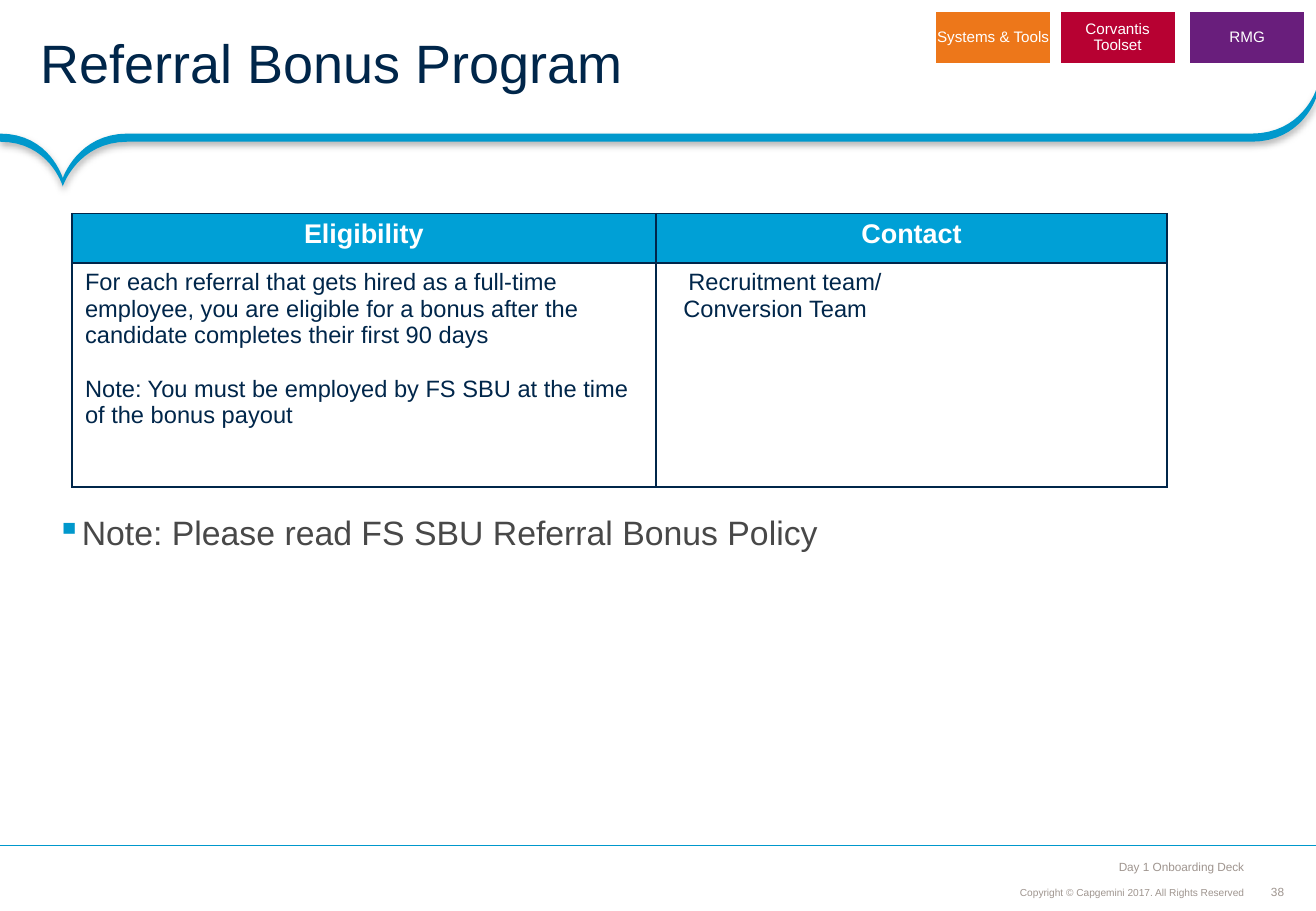
import pptx
import pptx.util
import pptx.oxml
from pptx.dml.color import RGBColor
from pptx.enum.shapes import MSO_CONNECTOR, MSO_SHAPE
from pptx.enum.text import MSO_ANCHOR, PP_ALIGN
from pptx.oxml.ns import nsdecls

PX = 7620  # 120 px to the inch
WIDTH, HEIGHT = 1300, 900
FONT = "Arial"

WHITE = RGBColor(0xFF, 0xFF, 0xFF)
NAVY = RGBColor(0x00, 0x26, 0x4A)
BLUE = RGBColor(0x00, 0x98, 0xCC)
HEADER_BLUE = RGBColor(0x00, 0xA0, 0xD6)
CHARCOAL = RGBColor(0x48, 0x48, 0x48)
GREY = RGBColor(0x9F, 0x95, 0x8F)
ORANGE = RGBColor(0xED, 0x77, 0x1A)
RED = RGBColor(0xB7, 0x01, 0x32)
PURPLE = RGBColor(0x69, 0x1E, 0x7C)


def px(*lengths):
    return [round(n * PX) for n in lengths]


def xml(text):
    head, rest = text.split(">", 1)
    slash = "/" if head.endswith("/") else ""
    return pptx.oxml.parse_xml(f"{head.rstrip('/')} {nsdecls('a')}{slash}>{rest}")


def write(tf, text, size, color, bold=False, align=PP_ALIGN.LEFT, line=None,
          after=None, margin=0, indent=0, bullet=None):
    """Fill the first paragraph if it is empty, otherwise add one."""
    p = tf.paragraphs[0]
    if p.text:
        p = tf.add_paragraph()
    p.text = text
    p.alignment = align
    if line:
        p.line_spacing = line
    if after:
        p.space_after = pptx.util.Pt(after)
    pPr = p._p.get_or_add_pPr()
    if margin:
        left, first = px(margin, indent)
        pPr.set("marL", str(left))
        pPr.set("indent", str(first))
    if bullet:
        pPr.append(xml(f'<a:buClr><a:srgbClr val="{BLUE}"/></a:buClr>'))
        pPr.append(xml(f'<a:buChar char="{bullet}"/>'))
    for r in p.runs:
        r.font.name = FONT
        r.font.size = pptx.util.Pt(size)
        r.font.bold = bold
        r.font.color.rgb = color


def set_frame(tf, insets, anchor):
    tf.word_wrap = True
    tf.vertical_anchor = anchor
    tf.margin_left, tf.margin_top, tf.margin_right, tf.margin_bottom = px(*insets)


def add_text(s, box, text, size, color, insets=(0, 0, 0, 0),
             anchor=MSO_ANCHOR.MIDDLE, **style):
    tf = s.shapes.add_textbox(*px(*box)).text_frame
    set_frame(tf, insets, anchor)
    write(tf, text, size, color, **style)


def arc(tip, control, flat, steps=16):
    """Points of a curve that leaves a sharp tip and runs out level."""
    for i in range(steps + 1):
        t = i / steps
        u = 1 - t
        yield tuple(u * u * (u + 3 * t) * a + 3 * u * t * t * b + t ** 3 * c
                    for a, b, c in zip(tip, control, flat))


def add_title(s, box):
    title = s.shapes.title
    title.left, title.top, title.width, title.height = px(*box)
    set_frame(title.text_frame, (40, 5, 22, 5), MSO_ANCHOR.MIDDLE)
    write(title.text_frame, "Referral Bonus Program", 32, NAVY, line=0.85)


def add_ribbon(s, box):
    left, top, width, height = box
    thickness, level, tip = 8, 43, (62, height - 8)
    edge = [*arc((width, 0), (width - 14, level), (width - 64, level)),
            *reversed(list(arc(tip, (77, level), (126, level)))),
            *arc(tip, (49, level), (0, level))]
    outline = edge + [(x, y + thickness) for x, y in reversed(edge)]
    points = [tuple(px(left + x, top + y)) for x, y in outline]
    builder = s.shapes.build_freeform(*points[0])
    builder.add_line_segments(points[1:], close=True)
    sp = builder.convert_to_shape()
    sp.fill.solid()
    sp.fill.fore_color.rgb = BLUE
    sp.line.fill.background()
    sp._element.spPr.append(xml(
        '<a:effectLst><a:outerShdw blurRad="50800" dist="25400" dir="5400000">'
        '<a:srgbClr val="000000"><a:alpha val="31000"/></a:srgbClr>'
        '</a:outerShdw></a:effectLst>'))


def add_tabs(s, box):
    left, top, width, height = box
    tabs = [(0, "Systems & Tools", ORANGE), (123, "Corvantis Toolset", RED),
            (251, "RMG", PURPLE)]
    for x, label, color in tabs:
        sp = s.shapes.add_shape(MSO_SHAPE.RECTANGLE, *px(left + x, top, width, height))
        sp.shadow.inherit = False
        sp.fill.solid()
        sp.fill.fore_color.rgb = color
        sp.line.color.rgb = WHITE
        sp.line.width = pptx.util.Pt(2)
        set_frame(sp.text_frame, (1, 1, 1, 1), MSO_ANCHOR.MIDDLE)
        write(sp.text_frame, label, 9, WHITE, align=PP_ALIGN.CENTER, line=0.9)


def format_cell(cell, fill=None):
    cell.margin_left = cell.margin_right = px(13)[0]
    cell.margin_top = cell.margin_bottom = px(6)[0]
    tcPr = cell._tc.get_or_add_tcPr()
    for side in "LRTB":
        tcPr.append(xml(f'<a:ln{side} w="12700"><a:solidFill><a:srgbClr val="{NAVY}"/>'
                        f'</a:solidFill></a:ln{side}>'))
    if fill:
        cell.fill.solid()
        cell.fill.fore_color.rgb = fill
    else:
        cell.fill.background()


def add_eligibility_table(s, box):
    left, top, width, height = box
    first_col, header = 577, 49
    table = s.shapes.add_table(2, 2, *px(left, top, width, height)).table
    for col, w in zip(table.columns, px(first_col, width - first_col)):
        col.width = w
    for row, h in zip(table.rows, px(header, height - header)):
        row.height = h
    for i, heading in enumerate(["Eligibility", "Contact"]):
        format_cell(table.cell(0, i), HEADER_BLUE)
        write(table.cell(0, i).text_frame, heading, 16, WHITE, bold=True,
              align=PP_ALIGN.CENTER)
        format_cell(table.cell(1, i))
    terms = table.cell(1, 0).text_frame
    write(terms, "For each referral that gets hired as a full-time employee, you are "
          "eligible for a bonus after the candidate completes their first 90 days",
          14, NAVY, after=16)
    write(terms, "Note: You must be employed by FS SBU at the time of the bonus payout",
          14, NAVY)
    write(table.cell(1, 1).text_frame, "Recruitment team/\vConversion Team", 14, NAVY,
          margin=14, indent=5)


def add_footer(s, box):
    left, top, width, height = box
    rule = s.shapes.add_connector(MSO_CONNECTOR.STRAIGHT,
                                  *px(left + width, top, left, top))
    rule.line.color.rgb = BLUE
    rule.line.width = pptx.util.Pt(0.75)
    rule._element.spPr.append(xml("<a:effectLst/>"))
    lines = [(8, 25, "Day 1 Onboarding Deck", 7, None),
             (34, 24, "Copyright © Capgemini 2017. All Rights Reserved", 6, 0.9)]
    for y, h, text, size, spacing in lines:
        add_text(s, (left + width - 416, top + y, 350, h), text, size, GREY,
                 insets=(5, 5, 5, 5), anchor=MSO_ANCHOR.BOTTOM,
                 align=PP_ALIGN.RIGHT, line=spacing)
    add_text(s, (left + width - 53, top + 39, 30, 15), "38", 7, GREY,
             align=PP_ALIGN.CENTER)


def main():
    prs = pptx.Presentation()
    prs.slide_width, prs.slide_height = px(WIDTH, HEIGHT)
    s = prs.slides.add_slide(prs.slide_layouts[5])
    add_ribbon(s, (0, 89, WIDTH, 95))
    add_footer(s, (0, 835, WIDTH, 65))
    add_title(s, (0, 0, WIDTH, 132))
    add_eligibility_table(s, (71, 211, 1082, 270))
    add_text(s, (42, 500, 1258, 55), "Note: Please read FS SBU Referral Bonus Policy",
             20, CHARCOAL, insets=(14, 10, 10, 10), anchor=MSO_ANCHOR.TOP,
             line=0.9, margin=22, indent=-22, bullet="▪")
    add_tabs(s, (923, 10, 116, 54))
    prs.save("out.pptx")


if __name__ == "__main__":
    main()
